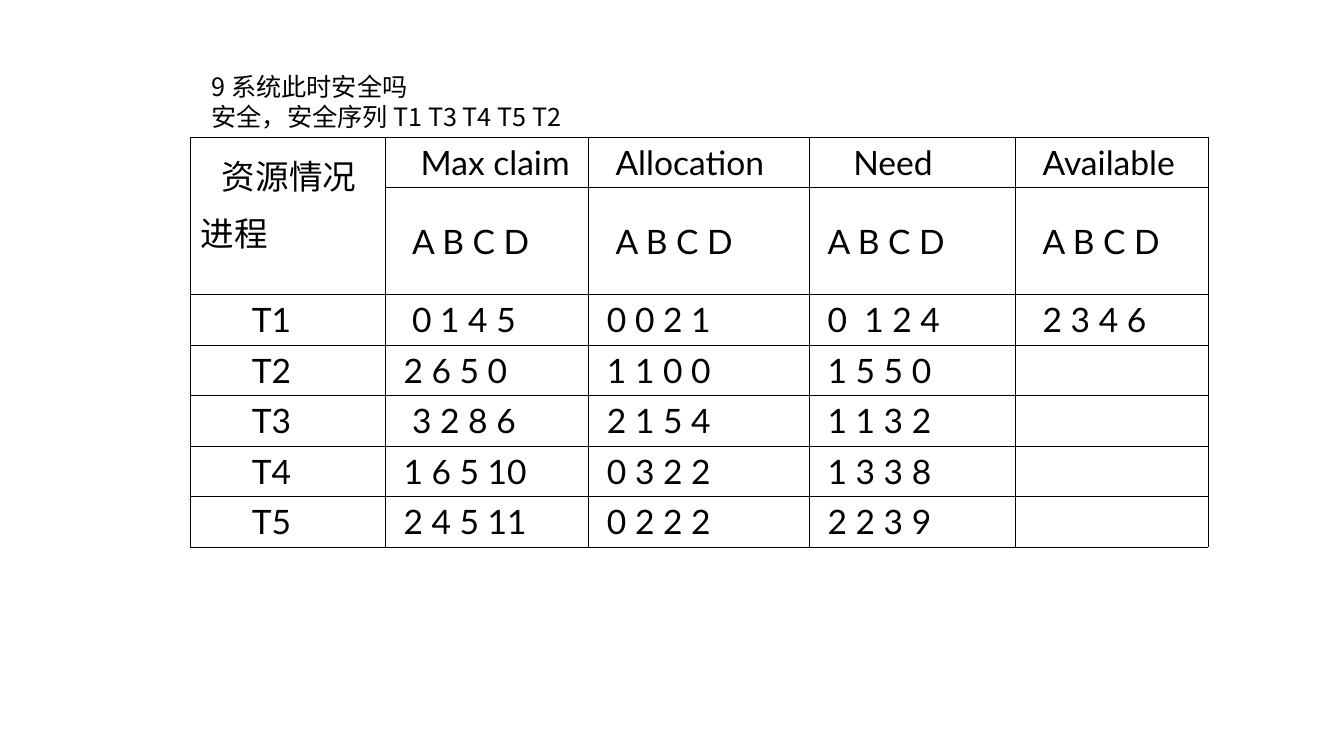
"""Build a slide with a banker's algorithm resource table and its safe sequence."""
from dataclasses import dataclass

from lxml.etree import SubElement
from pptx import Presentation
from pptx.dml.color import RGBColor
from pptx.enum.text import MSO_ANCHOR, MSO_AUTO_SIZE, PP_ALIGN
from pptx.oxml.ns import qn
from pptx.util import Inches, Pt


@dataclass(frozen=True)
class Theme:
    ink: str = "000000"
    latin: str = "Lato"
    chinese: str = "Noto Sans CJK SC"
    title_size: float = 18
    table_size: float = 24
    border_width: float = 0.45


THEME = Theme()
QUESTION = ["9 系统此时安全吗", "安全，安全序列 T1 T3 T4 T5 T2"]
RESOURCE_ROWS = [
    ["资源情况\n进程", "Max claim", "Allocation", "Need", "Available"],
    ["", "A B C D", "A B C D", "A B C D", "A B C D"],
    ["T1", "0 1 4 5", "0 0 2 1", "0  1 2 4", "2 3 4 6"],
    ["T2", "2 6 5 0", "1 1 0 0", "1 5 5 0", ""],
    ["T3", "3 2 8 6", "2 1 5 4", "1 1 3 2", ""],
    ["T4", "1 6 5 10", "0 3 2 2", "1 3 3 8", ""],
    ["T5", "2 4 5 11", "0 2 2 2", "2 2 3 9", ""],
]
INDENT_STEP = 0.085
INDENT_STEPS = [
    [2.5, 3, 2, 4, 2],
    [0, 2, 2, 1, 2],
    [6, 2, 1, 1, 2],
    [6, 1, 1, 1, 0],
    [6, 2, 1, 1, 0],
    [6, 1, 1, 1, 0],
    [6, 1, 1, 1, 0],
]
COLUMN_WIDTHS = [1.93, 2.02, 2.19, 2.05, 1.91]
ROW_HEIGHTS = [0.5, 0.98] + [0.5] * 5


def format_paragraph(paragraph, size, latin):
    """Left-align a paragraph and set the font of its runs."""
    paragraph.alignment = PP_ALIGN.LEFT
    for run in paragraph.runs:
        run.font.size = Pt(size)
        run.font.name = latin
        run.font.color.rgb = RGBColor.from_string(THEME.ink)
        SubElement(run.font._element, qn("a:ea"), typeface=THEME.chinese)


def add_question(slide):
    """Fill the title placeholder with the question and its answer."""
    question = slide.shapes.title
    question.left, question.top = Inches(2), Inches(0.66)
    question.width, question.height = Inches(3.74), Inches(0.7)
    frame = question.text_frame
    frame.text = "\n".join(QUESTION)
    frame.word_wrap = False
    frame.auto_size = MSO_AUTO_SIZE.SHAPE_TO_FIT_TEXT
    frame.vertical_anchor = MSO_ANCHOR.TOP
    for line in frame.paragraphs:
        format_paragraph(line, THEME.title_size, THEME.chinese)


def add_borders(cell):
    """Draw a thin line on all four sides of a cell."""
    properties = cell._tc.get_or_add_tcPr()
    for side in ("lnL", "lnR", "lnT", "lnB"):
        border = SubElement(properties, qn(f"a:{side}"), w=str(Pt(THEME.border_width)))
        fill = SubElement(border, qn("a:solidFill"))
        SubElement(fill, qn("a:srgbClr"), val=THEME.ink)


def fill_cell(cell, text, indent_steps):
    """Write a cell with its indent, borders and no fill."""
    add_borders(cell)
    cell.fill.background()
    cell.vertical_anchor = MSO_ANCHOR.MIDDLE
    if not text:
        return
    cell.text_frame.text = text
    for paragraph in cell.text_frame.paragraphs:
        format_paragraph(paragraph, THEME.table_size, THEME.latin)
    indent = Inches(indent_steps * INDENT_STEP)
    cell.text_frame.paragraphs[0]._p.get_or_add_pPr().set("marL", str(indent))


def add_resource_table(slide):
    """Add the table of claims, allocations, needs and free resources."""
    table = slide.shapes.add_table(
        len(ROW_HEIGHTS), len(COLUMN_WIDTHS), Inches(1.89), Inches(1.36),
        Inches(sum(COLUMN_WIDTHS)), Inches(sum(ROW_HEIGHTS))).table
    table.first_row = table.horz_banding = False
    for column, width in zip(table.columns, COLUMN_WIDTHS):
        column.width = Inches(width)
    for row, height in zip(table.rows, ROW_HEIGHTS):
        row.height = Inches(height)
    for row, texts, steps in zip(table.rows, RESOURCE_ROWS, INDENT_STEPS):
        for cell, text, indent_steps in zip(row.cells, texts, steps):
            fill_cell(cell, text, indent_steps)
    corner = table.cell(0, 0)
    corner.merge(table.cell(1, 0))
    corner.vertical_anchor = MSO_ANCHOR.TOP
    corner.margin_top = Inches(0.13)
    corner.text_frame.paragraphs[1].space_before = Pt(6)


def main():
    """Create the presentation and save it."""
    presentation = Presentation()
    presentation.slide_width = Inches(13.34)
    presentation.slide_height = Inches(7.5)
    slide = presentation.slides.add_slide(presentation.slide_layouts[5])
    add_question(slide)
    add_resource_table(slide)
    presentation.save("out.pptx")


if __name__ == "__main__":
    main()
